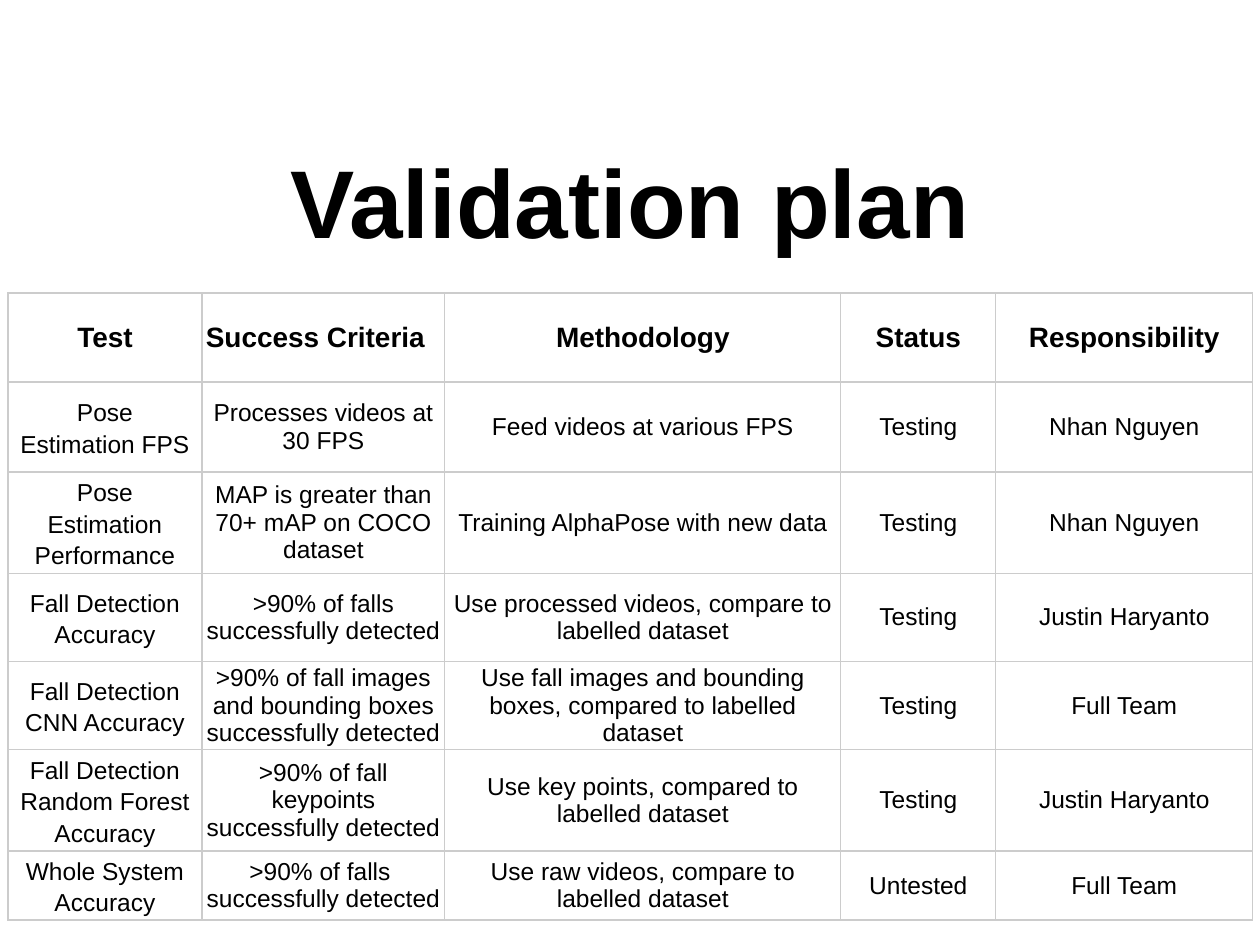
"""Build the validation plan slide: a title over a table of tests."""
from lxml.etree import SubElement
from pptx import Presentation
from pptx.dml.color import RGBColor
from pptx.enum.text import MSO_ANCHOR, PP_ALIGN
from pptx.oxml.ns import qn
from pptx.util import Pt

SCALE = 914400 / 126
HEAD = ["Test", "Success Criteria", "Methodology", "Status", "Responsibility"]
TESTS = [
    ["Pose Estimation FPS", "Processes videos at 30 FPS",
     "Feed videos at various FPS", "Testing", "Nhan Nguyen"],
    ["Pose Estimation Performance", "MAP is greater than 70+ mAP on COCO dataset",
     "Training AlphaPose with new data", "Testing", "Nhan Nguyen"],
    ["Fall Detection Accuracy", ">90% of falls successfully detected",
     "Use processed videos, compare to labelled dataset", "Testing", "Justin Haryanto"],
    ["Fall Detection CNN Accuracy",
     ">90% of fall images and bounding boxes successfully detected",
     "Use fall images and bounding boxes, compared to labelled dataset",
     "Testing", "Full Team"],
    ["Fall Detection Random Forest Accuracy",
     ">90% of fall keypoints successfully detected",
     "Use key points, compared to labelled dataset", "Testing", "Justin Haryanto"],
    ["Whole System Accuracy", ">90% of falls \nsuccessfully detected",
     "Use raw videos, compare to labelled dataset", "Untested", "Full Team"],
]
WIDTHS = [194, 243, 396, 155, 257]
HEIGHTS = [89, 90, 100, 88, 88, 100, 69]


def px(size):
    return round(size * SCALE)


def style(frame, size, bold, align=PP_ALIGN.CENTER):
    for para in frame.paragraphs:
        para.alignment = align
        for run in para.runs:
            run.font.name = "Arial"
            run.font.size = Pt(size)
            run.font.bold = bold
            run.font.color.rgb = RGBColor.from_string("000000")


deck = Presentation()
deck.slide_width, deck.slide_height = px(1260), px(945)
slide = deck.slides.add_slide(deck.slide_layouts[6])

title = slide.shapes.add_textbox(px(63), px(145), px(1134), px(111)).text_frame
title.word_wrap = True
title.vertical_anchor = MSO_ANCHOR.MIDDLE
title.text = "Validation plan"
style(title, 55, True)

rows = [HEAD] + TESTS
table = slide.shapes.add_table(len(rows), len(HEAD), px(8), px(293),
                               px(sum(WIDTHS)), px(sum(HEIGHTS))).table
table.horz_banding = False
for col, width in zip(table.columns, WIDTHS):
    col.width = px(width)
for row, height in zip(table.rows, HEIGHTS):
    row.height = px(height)

for r, row in enumerate(rows):
    for c, text in enumerate(row):
        cell = table.cell(r, c)
        frame = cell.text_frame
        frame.text = text
        first = r > 0 and c == 0
        left = r == 0 and c == 1
        style(frame, 14 if r else 16, r == 0,
              PP_ALIGN.LEFT if left else PP_ALIGN.CENTER)
        if first:
            frame.paragraphs[0].line_spacing = 1.15
        wide = first or (c == 2 and r in (1, 2))
        cell.margin_left = cell.margin_right = px(11 if wide else 4)
        cell.margin_top = cell.margin_bottom = 0
        cell.vertical_anchor = MSO_ANCHOR.MIDDLE
        props = cell._tc.get_or_add_tcPr()
        for side in ("a:lnL", "a:lnR", "a:lnT", "a:lnB"):
            line = SubElement(props, qn(side), w=str(Pt(0.75)))
            fill = SubElement(line, qn("a:solidFill"))
            SubElement(fill, qn("a:srgbClr"), val="CCCCCC")
        cell.fill.solid()
        cell.fill.fore_color.rgb = RGBColor.from_string("FFFFFF")

deck.save("out.pptx")
